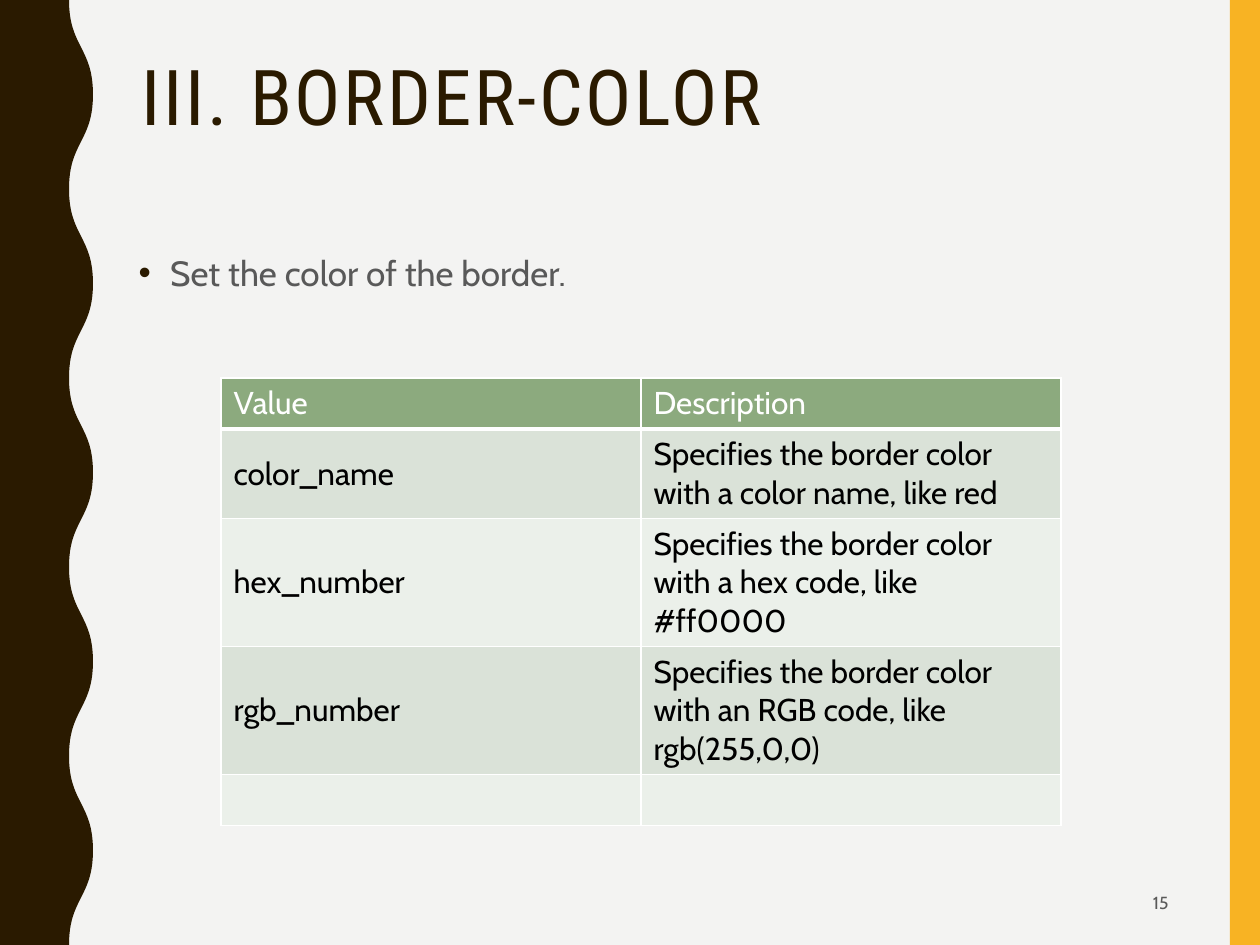
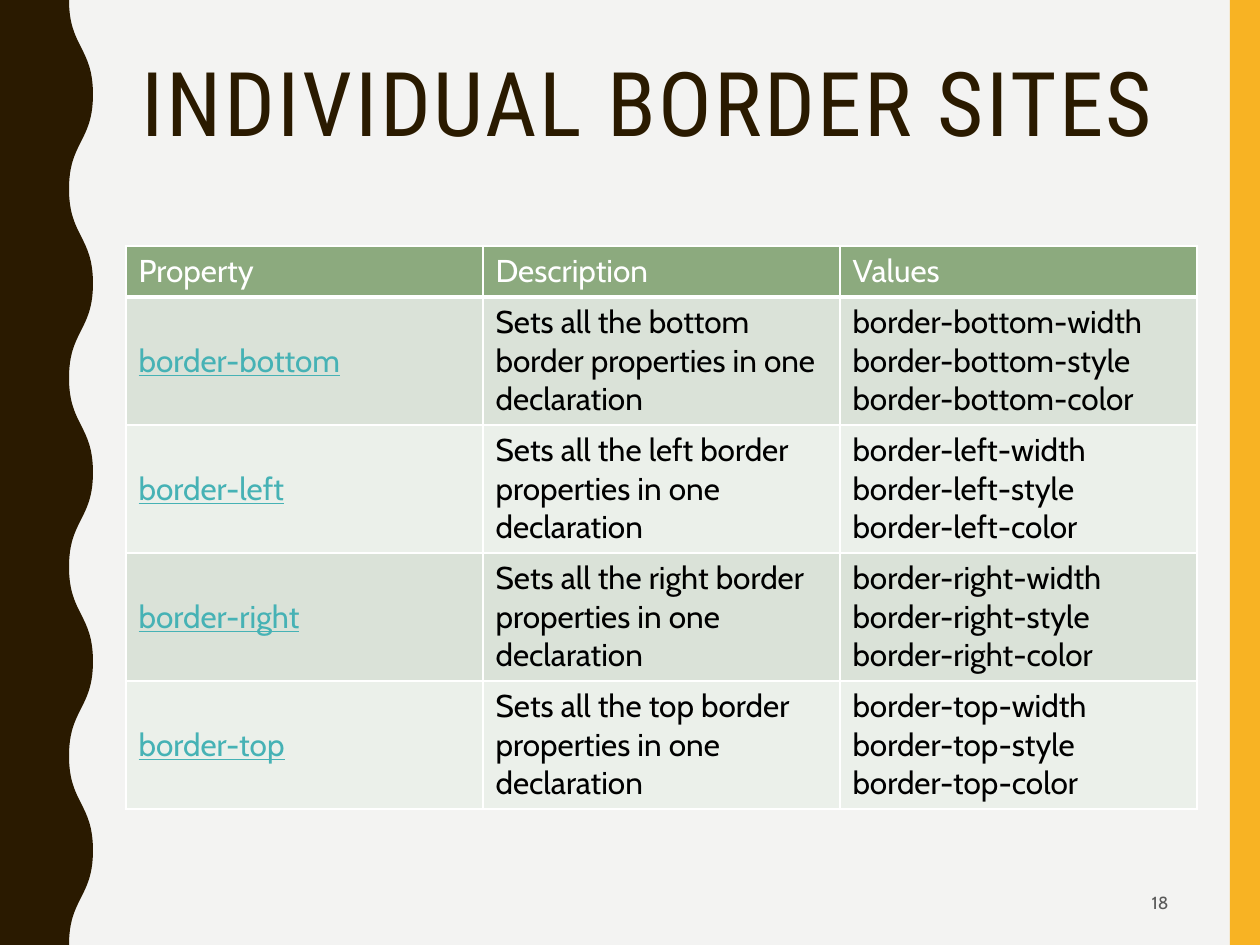
from dataclasses import dataclass
from typing import Optional

from lxml.etree import SubElement
from pptx import Presentation
from pptx.dml.color import RGBColor
from pptx.enum.shapes import MSO_SHAPE
from pptx.enum.text import MSO_ANCHOR, MSO_AUTO_SIZE, PP_ALIGN
from pptx.oxml.ns import qn
from pptx.util import Pt

# Shared style
PIXEL = 7257  # EMU per pixel, 126 pixels to the inch
WIDTH, HEIGHT = 1260, 945
COLORS = {
    "background": "F3F3F2", "dark": "2A1A00", "accent": "F8B323",
    "muted": "595959", "header": "8CAA7E", "odd": "DAE2D8", "even": "EBF0EA",
    "white": "FFFFFF", "black": "000000", "link": "46B2B5",
}
TITLE_FONT, TEXT_FONT = "Roboto Condensed", "Cabin"
TITLE_LAYOUT, BODY_LAYOUT = 5, 1


@dataclass(frozen=True)
class Box:
    left: int
    top: int
    width: int
    height: int


@dataclass(frozen=True)
class TableSpec:
    left: int
    top: int
    column_width: int
    row_heights: list[int]
    rows: list[list[str]]
    linked_first_column: bool = False


@dataclass(frozen=True)
class SlideSpec:
    title: str
    title_size: int
    number: int
    table: TableSpec
    bullet: Optional[str] = None


TITLE_BOX = Box(129, 53, 1052, 205)
BODY_BOX = Box(126, 241, 1071, 116)
NUMBER_BOX = Box(890, 879, 291, 48)
BAND_BOX = Box(1230, 0, 30, HEIGHT)
WAVE_INNER, WAVE_OUTER, HALF_WAVES = 69, 93, 10


def color(name: str) -> RGBColor:
    return RGBColor.from_string(COLORS[name])


def emu(box: Box) -> list[int]:
    return [length * PIXEL for length in (box.left, box.top, box.width, box.height)]


def place(shape, box: Box) -> None:
    shape.left, shape.top, shape.width, shape.height = emu(box)


def paint(shape, name: str) -> None:
    shape.fill.solid()
    shape.fill.fore_color.rgb = color(name)
    shape.line.fill.background()
    shape.shadow.inherit = False


def add_text(paragraph, text: str, size: int, color_name: str,
             font: str = TEXT_FONT, underline: bool = False):
    """Add one run per line, with line breaks between them."""
    for index, line in enumerate(text.split("\n")):
        if index:
            paragraph.add_line_break()
        run = paragraph.add_run()
        run.text = line
        run.font.name = font
        run.font.size = Pt(size)
        run.font.bold = False
        run.font.underline = underline
        run.font.color.rgb = color(color_name)
    return run


# Side bands, kept on the slide master
def add_wave(slide):
    half = HEIGHT * PIXEL // HALF_WAVES
    edge = [((WAVE_OUTER if index % 2 else WAVE_INNER) * PIXEL, index * half)
            for index in range(HALF_WAVES + 1)]
    builder = slide.shapes.build_freeform(*edge[0], scale=1.0)
    builder.add_line_segments(edge[1:] + [(0, HEIGHT * PIXEL), (0, 0)], close=True)
    wave = builder.convert_to_shape()
    paint(wave, "dark")

    # Bend each straight wave segment into an S curve
    segments = list(wave._element.iter(qn("a:lnTo")))[:HALF_WAVES]
    for segment, (start_x, start_y), (end_x, end_y) in zip(segments, edge, edge[1:]):
        segment.clear()
        middle = (start_y + end_y) // 2
        curve = SubElement(segment.getparent(), qn("a:cubicBezTo"))
        for x, y in ((start_x, middle), (end_x, middle), (end_x, end_y)):
            SubElement(curve, qn("a:pt"), x=str(x), y=str(y))
        segment.getparent().replace(segment, curve)
    return wave


def add_master_bands(presentation) -> None:
    """Build the bands on the first slide, then move them to the master."""
    slide = presentation.slides[0]
    band = slide.shapes.add_shape(MSO_SHAPE.RECTANGLE, *emu(BAND_BOX))
    paint(band, "accent")
    tree = presentation.slide_master.shapes._spTree
    for index, shape in enumerate((band, add_wave(slide))):
        shape._element.nvSpPr.cNvPr.set("id", str(100 + index))
        tree.insert(2 + index, shape._element)


# Title, list and slide number
def prepare_frame(shape, box: Box, anchor: MSO_ANCHOR):
    place(shape, box)
    frame = shape.text_frame
    frame.word_wrap = True
    frame.auto_size = MSO_AUTO_SIZE.NONE
    frame.vertical_anchor = anchor
    return frame.paragraphs[0]


def set_title(slide, text: str, size: int) -> None:
    paragraph = prepare_frame(slide.shapes.title, TITLE_BOX, MSO_ANCHOR.TOP)
    paragraph.alignment = PP_ALIGN.LEFT
    paragraph.line_spacing = 0.9
    run = add_text(paragraph, text, size, "dark", TITLE_FONT)
    run.font._element.set("spc", "150")


def set_bullet(slide, text: str) -> None:
    paragraph = prepare_frame(slide.placeholders[1], BODY_BOX, MSO_ANCHOR.TOP)
    paragraph.line_spacing = 1.1
    paragraph.space_before = Pt(7)
    properties = paragraph._p.get_or_add_pPr()
    properties.set("marL", "228600")
    properties.set("indent", "-228600")
    bullet_color = SubElement(properties, qn("a:buClr"))
    SubElement(bullet_color, qn("a:srgbClr"), val=COLORS["dark"])
    SubElement(properties, qn("a:buFont"), typeface="Arial")
    SubElement(properties, qn("a:buChar"), char="•")
    add_text(paragraph, text, 20, "muted")


def add_number(slide, number: int) -> None:
    shape = slide.shapes.add_textbox(*emu(NUMBER_BOX))
    paragraph = prepare_frame(shape, NUMBER_BOX, MSO_ANCHOR.MIDDLE)
    paragraph.alignment = PP_ALIGN.RIGHT
    add_text(paragraph, str(number), 10, "muted")


# Tables
def set_borders(cell, bottom: int) -> None:
    properties = cell._tc.get_or_add_tcPr()
    widths = {"lnL": 1, "lnR": 1, "lnT": 1, "lnB": bottom}
    for index, (side, points) in enumerate(widths.items()):
        line = SubElement(properties, qn(f"a:{side}"), w=str(Pt(points)))
        fill = SubElement(line, qn("a:solidFill"))
        SubElement(fill, qn("a:srgbClr"), val=COLORS["white"])
        properties.insert(index, line)


def add_table(slide, spec: TableSpec) -> None:
    row_count, column_count = len(spec.rows), len(spec.rows[0])
    box = Box(spec.left, spec.top, spec.column_width * column_count,
              sum(spec.row_heights))
    table = slide.shapes.add_table(row_count, column_count, *emu(box)).table
    table.first_row = table.horz_banding = False
    for column in table.columns:
        column.width = spec.column_width * PIXEL
    for row_index, values in enumerate(spec.rows):
        table.rows[row_index].height = spec.row_heights[row_index] * PIXEL
        is_header = row_index == 0
        fill = "header" if is_header else ("even", "odd")[row_index % 2]
        for column_index, text in enumerate(values):
            cell = table.cell(row_index, column_index)
            cell.vertical_anchor = MSO_ANCHOR.MIDDLE
            cell.fill.solid()
            cell.fill.fore_color.rgb = color(fill)
            set_borders(cell, 3 if is_header else 1)
            linked = (spec.linked_first_column and column_index == 0
                      and not is_header)
            text_color = "white" if is_header else "link" if linked else "black"
            if text:
                add_text(cell.text_frame.paragraphs[0], text, 18, text_color,
                         underline=linked)


def add_slide(presentation, spec: SlideSpec) -> None:
    layout = BODY_LAYOUT if spec.bullet else TITLE_LAYOUT
    slide = presentation.slides.add_slide(presentation.slide_layouts[layout])
    set_title(slide, spec.title, spec.title_size)
    if spec.bullet:
        set_bullet(slide, spec.bullet)
    add_table(slide, spec.table)
    add_number(slide, spec.number)


# Content
def side_row(side: str) -> list[str]:
    parts = ("width", "style", "color")
    return [f"border-{side}",
            f"Sets all the {side} border properties in one declaration",
            "\n".join(f"border-{side}-{part}" for part in parts)]


COLOR_TABLE = TableSpec(221, 378, 420, [51, 89, 128, 128, 51], [
    ["Value", "Description"],
    ["color_name", "Specifies the border color with a color name, like red"],
    ["hex_number", "Specifies the border color with a hex code, like #ff0000"],
    ["rgb_number",
     "Specifies the border color with an RGB code, like rgb(255,0,0)"],
    ["", ""],
])
SIDES_TABLE = TableSpec(
    126, 246, 357, [51] + [128] * 4,
    [["Property", "Description", "Values"]]
    + [side_row(side) for side in ("bottom", "left", "right", "top")],
    linked_first_column=True)
SLIDES = [
    SlideSpec("III. BORDER-COLOR", 44, 15, COLOR_TABLE,
              "Set the color of the border."),
    SlideSpec("INDIVIDUAL BORDER SITES", 51, 18, SIDES_TABLE),
]

presentation = Presentation()
presentation.slide_width = WIDTH * PIXEL
presentation.slide_height = HEIGHT * PIXEL
background = presentation.slide_master.background.fill
background.solid()
background.fore_color.rgb = color("background")
for slide_spec in SLIDES:
    add_slide(presentation, slide_spec)
add_master_bands(presentation)
presentation.save("out.pptx")
